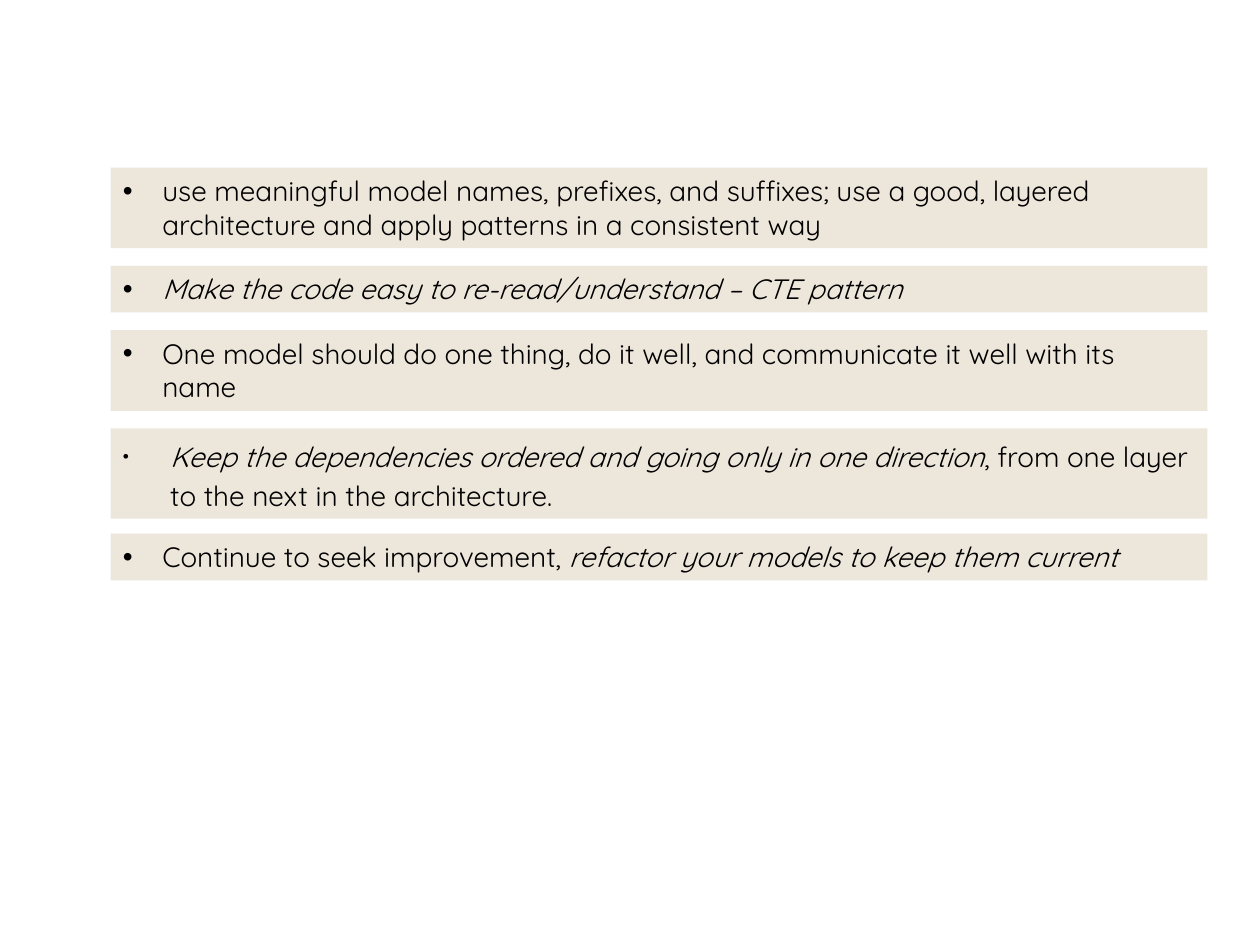
from lxml import etree
from pptx import Presentation
from pptx.dml.color import RGBColor
from pptx.enum.shapes import MSO_SHAPE
from pptx.enum.text import MSO_ANCHOR, MSO_AUTO_SIZE, PP_ALIGN
from pptx.oxml.ns import qn
from pptx.util import Pt

RECTANGLE = MSO_SHAPE.RECTANGLE
TOP = MSO_ANCHOR.TOP
LEFT = PP_ALIGN.LEFT
FIT_SHAPE = MSO_AUTO_SIZE.SHAPE_TO_FIT_TEXT

COLORS = {"band": "EDE6DB", "text": "000000"}
FONT = "Quicksand"
BAND_LEFT, BAND_WIDTH = 63.2, 626.8
ONE_LINE, TWO_LINES = 26.65, 46.05
SPACED = {"indent": 27, "line_spacing": 1.15, "space_after": 6, "bullet_percent": 62}

# Each practice: top, height, runs of (text, italic), paragraph format
PRACTICES = [
    (95.8, TWO_LINES, [("use meaningful model names, prefixes, and suffixes; use a good, "
                        "layered architecture and apply patterns in a consistent way", False)], {}),
    (151.9, ONE_LINE, [("Make the code easy to re-read/understand – CTE pattern", True)], {}),
    (188.7, TWO_LINES, [("One model should do one thing, do it well, and communicate it well "
                         "with its name", False)], {}),
    (244.8, 51.6, [("Keep the dependencies ordered and going only in one direction", True),
                   (", from one layer to the next in the architecture.", False)], SPACED),
    (305, ONE_LINE, [("Continue to seek improvement, ", False),
                     ("refactor your models to keep them current", True)], {}),
]


def add_bullet(paragraph, indent, percent):
    properties = paragraph._p.get_or_add_pPr()
    properties.set("marL", str(Pt(indent)))
    properties.set("indent", str(-Pt(indent)))
    color = etree.SubElement(properties, qn("a:buClr"))
    etree.SubElement(color, qn("a:srgbClr"), val=COLORS["text"])
    etree.SubElement(properties, qn("a:buSzPct"), val=str(percent * 1000))
    etree.SubElement(properties, qn("a:buFont"), typeface="Arial")
    etree.SubElement(properties, qn("a:buChar"), char="•")


def write_text(paragraph, runs, indent=22.5, line_spacing=1.0, space_after=0,
               bullet_percent=100, size=16):
    paragraph.alignment = LEFT
    paragraph.line_spacing = line_spacing
    paragraph.space_after = Pt(space_after)
    add_bullet(paragraph, indent, bullet_percent)
    for text, italic in runs:
        run = paragraph.add_run()
        run.text = text
        run.font.name = FONT
        run.font.size = Pt(size)
        run.font.italic = italic
        run.font.color.rgb = RGBColor.from_string(COLORS["text"])


def add_band(slide, top, height):
    band = slide.shapes.add_shape(RECTANGLE, Pt(BAND_LEFT), Pt(top), Pt(BAND_WIDTH), Pt(height))
    band.shadow.inherit = False
    band.fill.solid()
    band.fill.fore_color.rgb = RGBColor.from_string(COLORS["band"])
    band.line.fill.background()
    frame = band.text_frame
    frame.word_wrap = True
    frame.auto_size = FIT_SHAPE
    frame.vertical_anchor = TOP
    frame.margin_left = frame.margin_right = Pt(7.2)
    frame.margin_top = frame.margin_bottom = Pt(3.6)
    return frame


def main():
    presentation = Presentation()
    presentation.slide_width, presentation.slide_height = Pt(720), Pt(540)
    slide = presentation.slides.add_slide(presentation.slide_layouts.get_by_name("Blank"))
    for top, height, runs, text_format in PRACTICES:
        frame = add_band(slide, top, height)
        write_text(frame.paragraphs[0], runs, **text_format)
    presentation.save("out.pptx")


if __name__ == "__main__":
    main()
